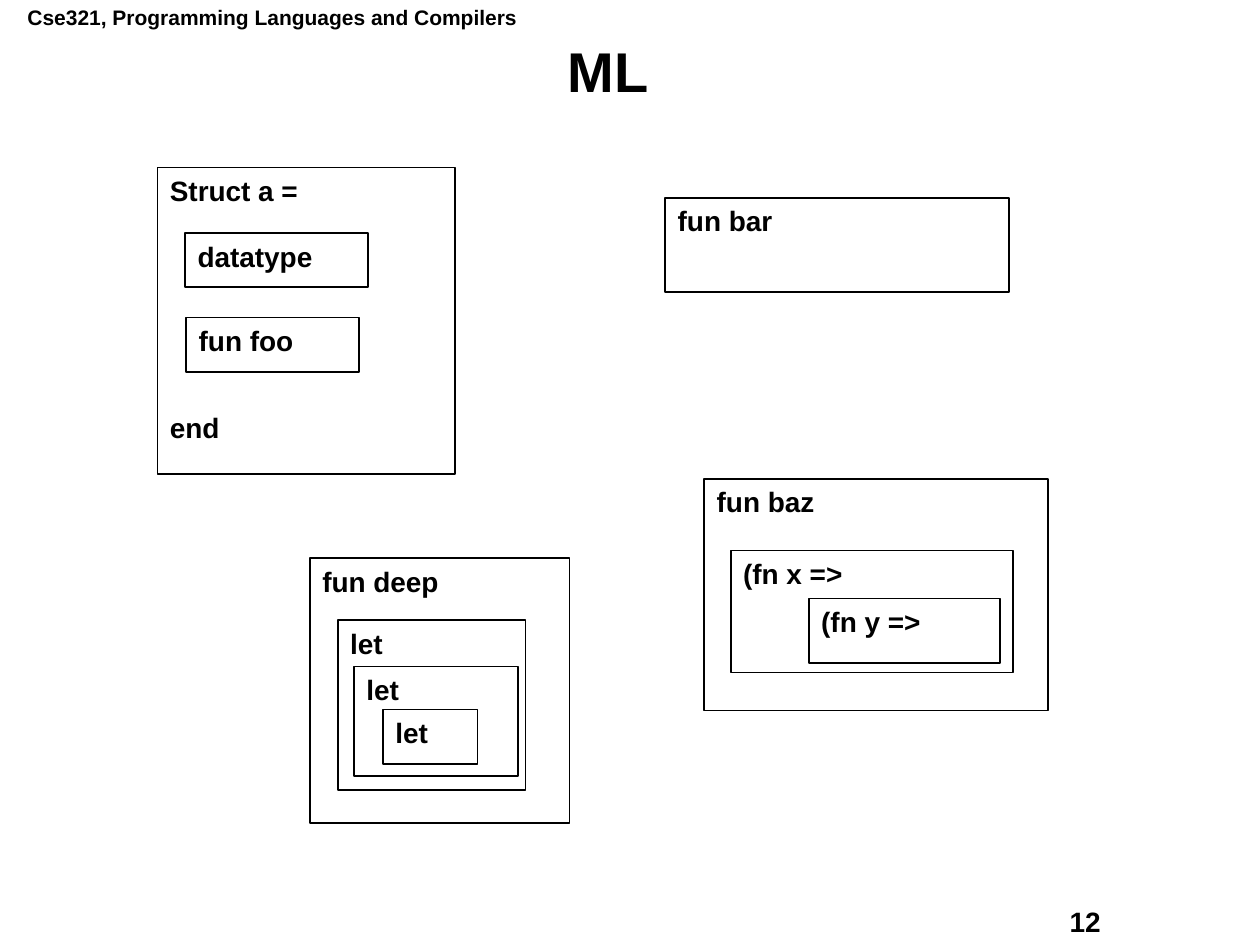
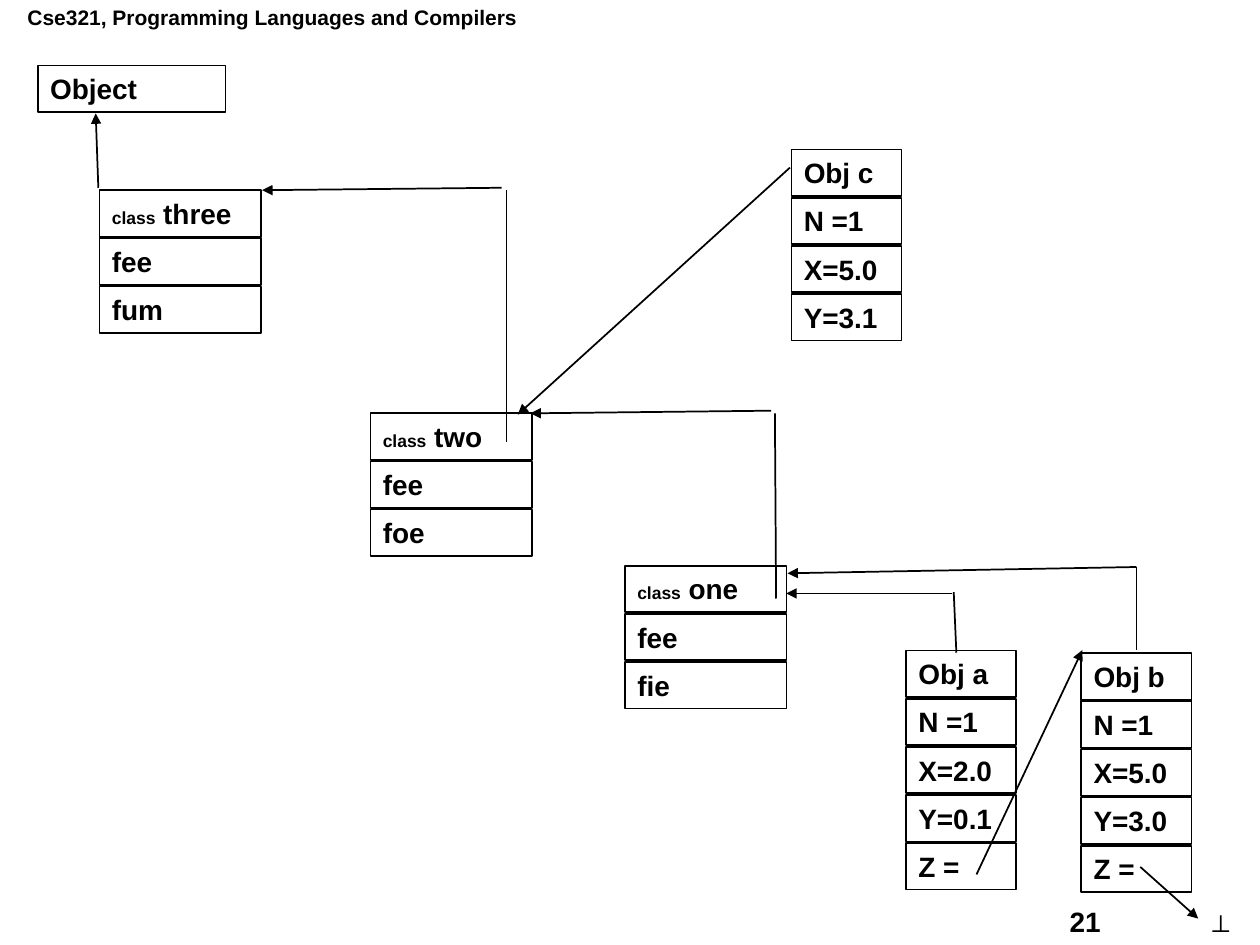
from lxml import etree
from pptx import Presentation
from pptx.dml.color import RGBColor
from pptx.enum import shapes, text
from pptx.oxml.ns import qn
from pptx.util import Pt

COLORS = {"ink": "000000", "paper": "FFFFFF"}
FONT = "Arial"
BODY, SMALL, TINY, HEAD = 16, 12, 10, 32
TITLE_ONLY, BLANK = 5, 6
ROW, PITCH = 26.6, 27.5  # height of a stack row, step between rows
COURSE = "Cse321, Programming Languages and Compilers"

BLOCKS = [  # left, top, width, height, label
    (106.5, 181.5, 98.6, 31, "fun foo"),
    (105.8, 133.2, 104.4, 31, "datatype"),
    (380.2, 113, 196.6, 54, "fun bar"),
    (177.1, 319, 148.3, 151.2, "fun deep"),
    (193, 354.2, 107.3, 97.2, "let"),
    (202.3, 380.9, 93.6, 62.6, "let"),
    (218.9, 405.4, 54, 31, "let"),
    (402.5, 273.6, 196.6, 132.5, "fun baz"),
    (417.6, 314.6, 161.3, 69.8, "(fn x =>"),
    (462.2, 342, 109.4, 36.7, "(fn y =>"),
]
CLASSES = [  # left, top, name, methods
    (56.9, 108.7, "three", ["fee", "fum"]),
    (211.7, 236.2, "two", ["fee", "foe"]),
    (357.1, 323.3, "one", ["fee", "fie"]),
]
OBJECTS = [  # left, top, rows
    (517.7, 371.8, ["Obj a", "N =1", "X=2.0", "Y=0.1", "Z ="]),
    (452.2, 85.5, ["Obj c", "N =1", "X=5.0", "Y=3.1"]),
    (617.8, 373.3, ["Obj b", "N =1", "X=5.0", "Y=3.0", "Z ="]),
]
ARROWS = [  # start x, start y, end x, end y
    (56.2, 107.3, 54.7, 64.8),
    (286.6, 107.3, 149.8, 108.7),
    (440.6, 234.7, 303.1, 236.2),
    (558, 499.7, 618.5, 371.5),
    (651.6, 495.4, 684.7, 524.9),
    (544.3, 339.1, 449.3, 339.1),
    (649.4, 324, 450, 327.6),
    (451.4, 95.8, 295.9, 236.9),
]
STEMS = [
    (289.4, 252.7, 289.4, 108.7),
    (443.5, 342, 442.8, 236.2),
    (545, 338.4, 546.5, 373),
    (649.4, 324, 649.4, 371.5),
]


def ink(name):
    return RGBColor.from_string(COLORS[name])


def add_run(para, label, size=BODY):
    run = para.add_run()
    run.text = label
    font = run.font
    font.name, font.size, font.bold = FONT, Pt(size), True
    font.color.rgb = ink("ink")


def fill_text(shape, runs):
    """Write (label, size) runs, left and top aligned, and return the frame."""
    frame = shape.text_frame
    frame.word_wrap = True
    frame.vertical_anchor = text.MSO_ANCHOR.TOP
    para = frame.paragraphs[0]
    para.alignment = text.PP_ALIGN.LEFT
    for label, size in runs:
        add_run(para, label, size)
    return frame


def add_note(slide, left, top, width, height, label, size=BODY):
    box = slide.shapes.add_textbox(Pt(left), Pt(top), Pt(width), Pt(height))
    fill_text(box, [(label, size)])


def add_box(slide, left, top, width, height, runs):
    box = slide.shapes.add_shape(
        shapes.MSO_SHAPE.RECTANGLE, Pt(left), Pt(top), Pt(width), Pt(height))
    box.shadow.inherit = False
    box.fill.background()
    box.line.color.rgb = ink("ink")
    box.line.width = Pt(1)
    return fill_text(box, runs)


def add_stack(slide, left, top, width, rows):
    """Stack one box per row; each row is a list of runs."""
    for i, runs in enumerate(rows):
        add_box(slide, left, top + i * PITCH, width, ROW, runs)


def add_line(slide, ends, head=False):
    line = slide.shapes.add_connector(
        shapes.MSO_CONNECTOR.STRAIGHT, *(Pt(v) for v in ends))
    line.line.color.rgb = ink("ink")
    line.line.width = Pt(1)
    if head:
        etree.SubElement(line.line._get_or_add_ln(), qn("a:tailEnd"), type="triangle")
    etree.SubElement(line._element.spPr, qn("a:effectLst"))


def add_slide(deck, layout, number):
    """Add a slide with the course line and the page number."""
    slide = deck.slides.add_slide(deck.slide_layouts[layout])
    slide.background.fill.solid()
    slide.background.fill.fore_color.rgb = ink("paper")
    add_note(slide, 8.6, -0.7, 320, 21.6, COURSE, SMALL)
    add_note(slide, 604.1, 513.4, 60, 25.9, str(number))
    return slide


def set_title(slide, label):
    title = slide.shapes.title
    title.left, title.top, title.width, title.height = map(Pt, (22.3, 22.3, 650.2, 40.3))
    frame = title.text_frame
    frame.auto_size = text.MSO_AUTO_SIZE.NONE
    frame.vertical_anchor = text.MSO_ANCHOR.MIDDLE
    para = frame.paragraphs[0]
    para.alignment = text.PP_ALIGN.CENTER
    para.line_spacing = 0.9
    add_run(para, label, HEAD)


def draw_scopes(deck):
    slide = add_slide(deck, TITLE_ONLY, 12)
    set_title(slide, "ML")
    frame = add_box(slide, 90, 95.8, 170, 175, [("Struct a =", BODY)])
    end = frame.add_paragraph()
    end.alignment = text.PP_ALIGN.LEFT
    end.space_before = Pt(116)
    add_run(end, "end")
    for *place, label in BLOCKS:
        add_box(slide, *place, [(label, BODY)])


def draw_heap(deck):
    slide = add_slide(deck, BLANK, 21)
    add_box(slide, 21.6, 37.4, 107.3, ROW, [("Object", BODY)])
    for left, top, name, methods in CLASSES:
        rows = [[("class", TINY), (" " + name, BODY)]]
        rows += [[(label, BODY)] for label in methods]
        add_stack(slide, left, top, 92.4, rows)
    for left, top, labels in OBJECTS:
        add_stack(slide, left, top, 63, [[(label, BODY)] for label in labels])
    for ends in STEMS:
        add_line(slide, ends)
    for ends in ARROWS:
        add_line(slide, ends, head=True)
    add_note(slide, 682.6, 513.4, 27.4, ROW, "⊥")


def main():
    deck = Presentation()
    deck.slide_width, deck.slide_height = Pt(720), Pt(540)
    draw_scopes(deck)
    draw_heap(deck)
    deck.save("out.pptx")


if __name__ == "__main__":
    main()
